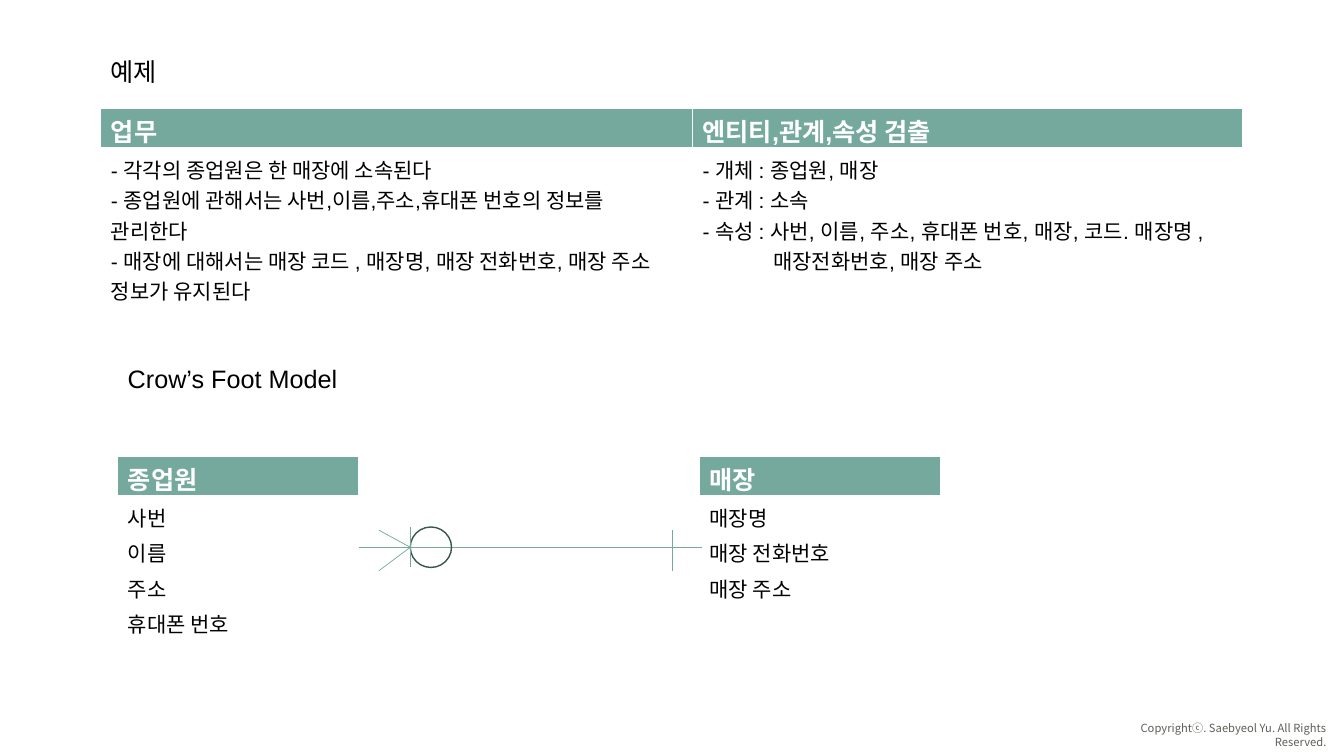
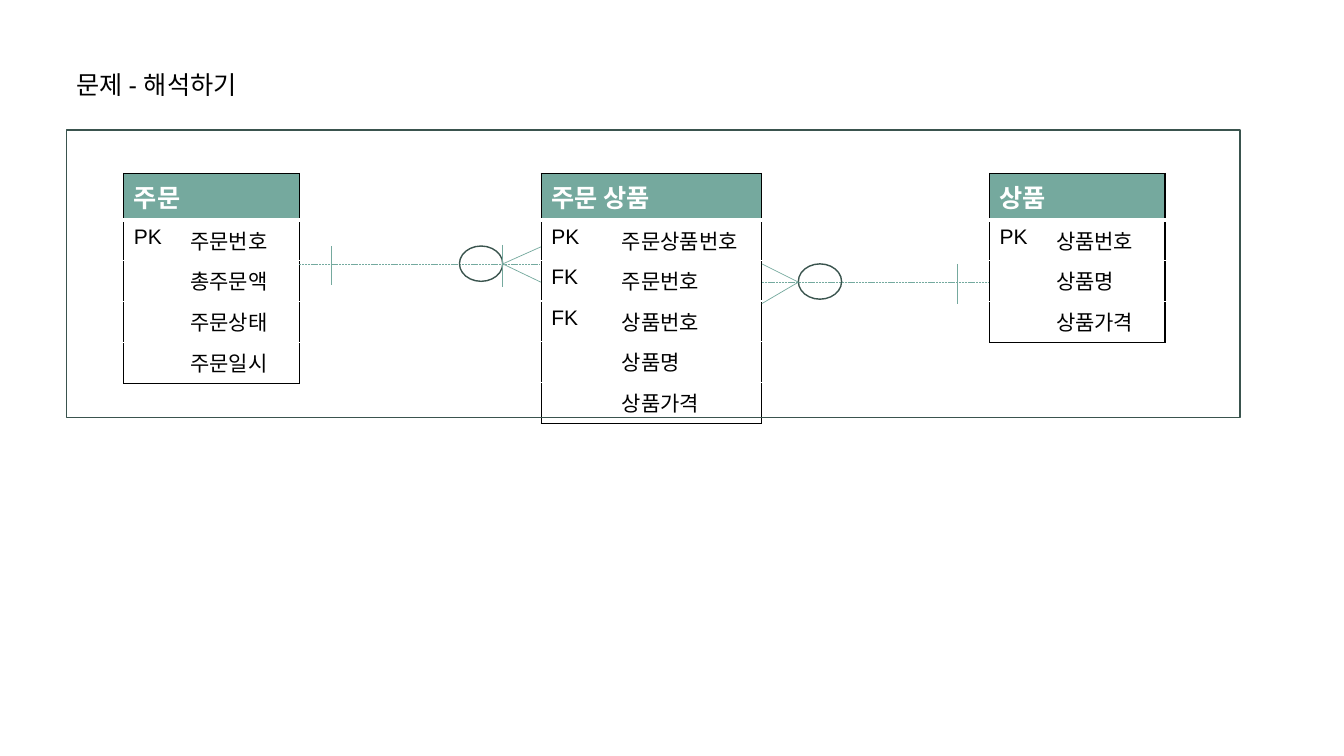
"""Build two slides that explain entity relationship diagrams in crow's foot notation."""
import pptx
import pptx.dml.color
import pptx.enum.dml
import pptx.enum.shapes
import pptx.enum.text
import pptx.oxml.ns
import pptx.util
from lxml import etree

Cm = pptx.util.Cm
Pt = pptx.util.Pt
qn = pptx.oxml.ns.qn

COLORS = {
    "header": "75A99E",
    "dashed": "74AA9F",
    "outline": "3A544E",
    "text": "000000",
    "white": "FFFFFF",
    "footer": "5F5E58",
}
FONT = "Arial"
FOOTER_FONT = "Noto Sans CJK KR"
TITLE_SIZE = 18
BODY_SIZE = 15
FOOTER_TEXT = "Copyrightⓒ. Saebyeol Yu. All Rights Reserved."


def rgb(name):
    return pptx.dml.color.RGBColor.from_string(COLORS[name])


def format_paragraph(paragraph, size, color, bold=False, font=FONT):
    for run in paragraph.runs:
        run.font.name = font
        run.font.size = Pt(size)
        run.font.bold = bold
        run.font.color.rgb = rgb(color)


def add_text(slide, text, left, top, width, height, size=TITLE_SIZE,
             color="text", font=FONT, wrap=False, align=None):
    box = slide.shapes.add_textbox(Cm(left), Cm(top), Cm(width), Cm(height))
    frame = box.text_frame
    frame.word_wrap = wrap
    frame.text = text
    paragraph = frame.paragraphs[0]
    paragraph.alignment = align
    format_paragraph(paragraph, size, color, font=font)


def add_footer(slide):
    add_text(slide, FOOTER_TEXT, 27.33, 18.06, 6.35, 0.61, 8, "footer",
             FOOTER_FONT, True, pptx.enum.text.PP_ALIGN.RIGHT)


def set_borders(cell, borders):
    properties = cell._tc.get_or_add_tcPr()
    for position, side in enumerate("LRTB"):
        color, width = borders[side]
        line = etree.Element(qn(f"a:ln{side}"), w=str(Pt(width)))
        fill = etree.SubElement(line, qn("a:solidFill"))
        etree.SubElement(fill, qn("a:srgbClr"), val=COLORS[color])
        properties.insert(position, line)


def cell_borders(row, column, row_count, column_count, outlined):
    edge = ("text" if outlined else "white", 1)
    inner = ("white", 1)
    thick = ("white", 3)
    bottom = edge if row == row_count - 1 else inner
    return {
        "L": edge if column == 0 else inner,
        "R": edge if column == column_count - 1 or row == 0 else inner,
        "T": edge if row == 0 else thick if row == 1 else inner,
        "B": thick if row == 0 else bottom,
    }


def format_cell(cell, text, is_header, compact):
    cell.text = text
    if compact:
        cell.margin_bottom = 0
        cell.margin_top = Cm(0.1 if is_header else 0.12)
    if is_header:
        cell.fill.solid()
        cell.fill.fore_color.rgb = rgb("header")
    else:
        cell.fill.background()
    for paragraph in cell.text_frame.paragraphs:
        if is_header:
            format_paragraph(paragraph, TITLE_SIZE, "white", True)
        else:
            format_paragraph(paragraph, BODY_SIZE, "text")


def add_table(slide, left, top, widths, heights, rows, outlined=False):
    frame = slide.shapes.add_table(len(rows), len(widths), Cm(left), Cm(top),
                                   Cm(sum(widths)), Cm(sum(heights)))
    table = frame.table
    table.horz_banding = False
    for column, width in zip(table.columns, widths):
        column.width = Cm(width)
    for row, height in zip(table.rows, heights):
        row.height = Cm(height)
    for i, texts in enumerate(rows):
        for j, text in enumerate(texts):
            cell = table.cell(i, j)
            format_cell(cell, text, i == 0, not outlined)
            set_borders(cell, cell_borders(i, j, len(rows), len(widths), outlined))
    return table


def add_simple_entity(slide, left, name, attributes):
    rows = [[name]] + [[attribute] for attribute in attributes]
    heights = [1.02] + [0.89] * len(attributes)
    add_table(slide, left, 11.51, [6.07], heights, rows)


def add_keyed_entity(slide, left, widths, name, attributes):
    heights = [1.17] + [1.02] * len(attributes)
    table = add_table(slide, left, 4.37, widths, heights,
                      [(name, "")] + attributes, outlined=True)
    table.cell(0, 0).merge(table.cell(0, 1))


def add_line(slide, x1, y1, x2, y2, color="header", dashed=False):
    line = slide.shapes.add_connector(pptx.enum.shapes.MSO_CONNECTOR.STRAIGHT,
                                      Cm(x1), Cm(y1), Cm(x2), Cm(y2))
    line.line.color.rgb = rgb(color)
    line.line.width = Pt(0.5)
    if dashed:
        line.line.dash_style = pptx.enum.dml.MSO_LINE.SQUARE_DOT
    etree.SubElement(line._element.spPr, qn("a:effectLst"))


def add_outline(slide, kind, left, top, width, height):
    shape = slide.shapes.add_shape(kind, Cm(left), Cm(top), Cm(width), Cm(height))
    shape.shadow.inherit = False
    shape.fill.background()
    shape.line.color.rgb = rgb("outline")
    shape.line.width = Pt(1)


def add_relation(slide, start, end, y, circle, bars, tip, toes, dashed=False):
    add_line(slide, start, y, end, y, "dashed" if dashed else "header", dashed)
    add_outline(slide, pptx.enum.shapes.MSO_SHAPE.OVAL, *circle)
    for x, top, bottom in bars:
        add_line(slide, x, top, x, bottom)
    toe_x, *toe_levels = toes
    for toe_y in toe_levels:
        add_line(slide, tip, y, toe_x, toe_y)


def build_example(slide):
    add_footer(slide)
    add_text(slide, "예제", 2.54, 1.3, 1.78, 1.02)
    tasks = "\n".join([
        "- 각각의 종업원은 한 매장에 소속된다",
        "- 종업원에 관해서는 사번,이름,주소,휴대폰 번호의 정보를 관리한다",
        "- 매장에 대해서는 매장 코드 , 매장명, 매장 전화번호, 매장 주소 정보가 유지된다",
    ])
    findings = "\n".join([
        "- 개체 : 종업원, 매장",
        "- 관계 : 소속",
        "- 속성 : 사번, 이름, 주소, 휴대폰 번호, 매장, 코드. 매장명 ,",
        "매장전화번호, 매장 주소",
    ])
    table = add_table(slide, 2.54, 2.74, [14.91, 13.87], [1.02, 3.99, 0.97],
                      [("업무", "엔티티,관계,속성 검출"), (tasks, findings), ("", "")])
    continuation = table.cell(1, 1).text_frame.paragraphs[-1]
    continuation._p.get_or_add_pPr().set("marL", str(Cm(1.78)))

    add_text(slide, "Crow’s Foot Model", 2.97, 9.02, 6.07, 1.02, wrap=True)
    add_simple_entity(slide, 2.97, "종업원", ["사번", "이름", "주소", "휴대폰 번호"])
    add_simple_entity(slide, 17.63, "매장", ["매장명", "매장 전화번호", "매장 주소"])
    add_relation(slide, 9.04, 17.7, 13.79, (10.34, 13.28, 1.04, 1.02),
                 [(16.94, 13.36, 14.38), (10.34, 13.28, 14.3)],
                 10.34, (9.55, 13.36, 14.38))


def build_exercise(slide):
    add_keyed_entity(slide, 3.12, [1.42, 3], "주문", [
        ("PK", "주문번호"), ("", "총주문액"), ("", "주문상태"), ("", "주문일시")])
    add_keyed_entity(slide, 13.64, [1.78, 3.78], "주문 상품", [
        ("PK", "주문상품번호"), ("FK", "주문번호"), ("FK", "상품번호"),
        ("", "상품명"), ("", "상품가격")])
    add_keyed_entity(slide, 24.94, [1.42, 3], "상품", [
        ("PK", "상품번호"), ("", "상품명"), ("", "상품가격")])
    add_relation(slide, 7.54, 13.61, 6.65, (11.58, 6.2, 1.09, 0.89),
                 [(8.36, 6.2, 7.19), (12.67, 6.17, 7.24)],
                 12.67, (13.63, 6.22, 7.11), dashed=True)
    add_relation(slide, 19.2, 24.89, 7.11, (20.12, 6.65, 1.09, 0.89),
                 [(24.13, 6.65, 7.65)],
                 20.12, (19.2, 6.65, 7.65), dashed=True)
    add_outline(slide, pptx.enum.shapes.MSO_SHAPE.RECTANGLE, 1.68, 3.28, 29.57, 7.24)
    add_text(slide, "문제 - 해석하기", 1.68, 1.63, 4.93, 1.02)


def main():
    presentation = pptx.Presentation()
    presentation.slide_width = Cm(33.87)
    presentation.slide_height = Cm(19.05)
    blank_layout = presentation.slide_layouts[6]
    for build in (build_example, build_exercise):
        build(presentation.slides.add_slide(blank_layout))
    presentation.save("out.pptx")


if __name__ == "__main__":
    main()
